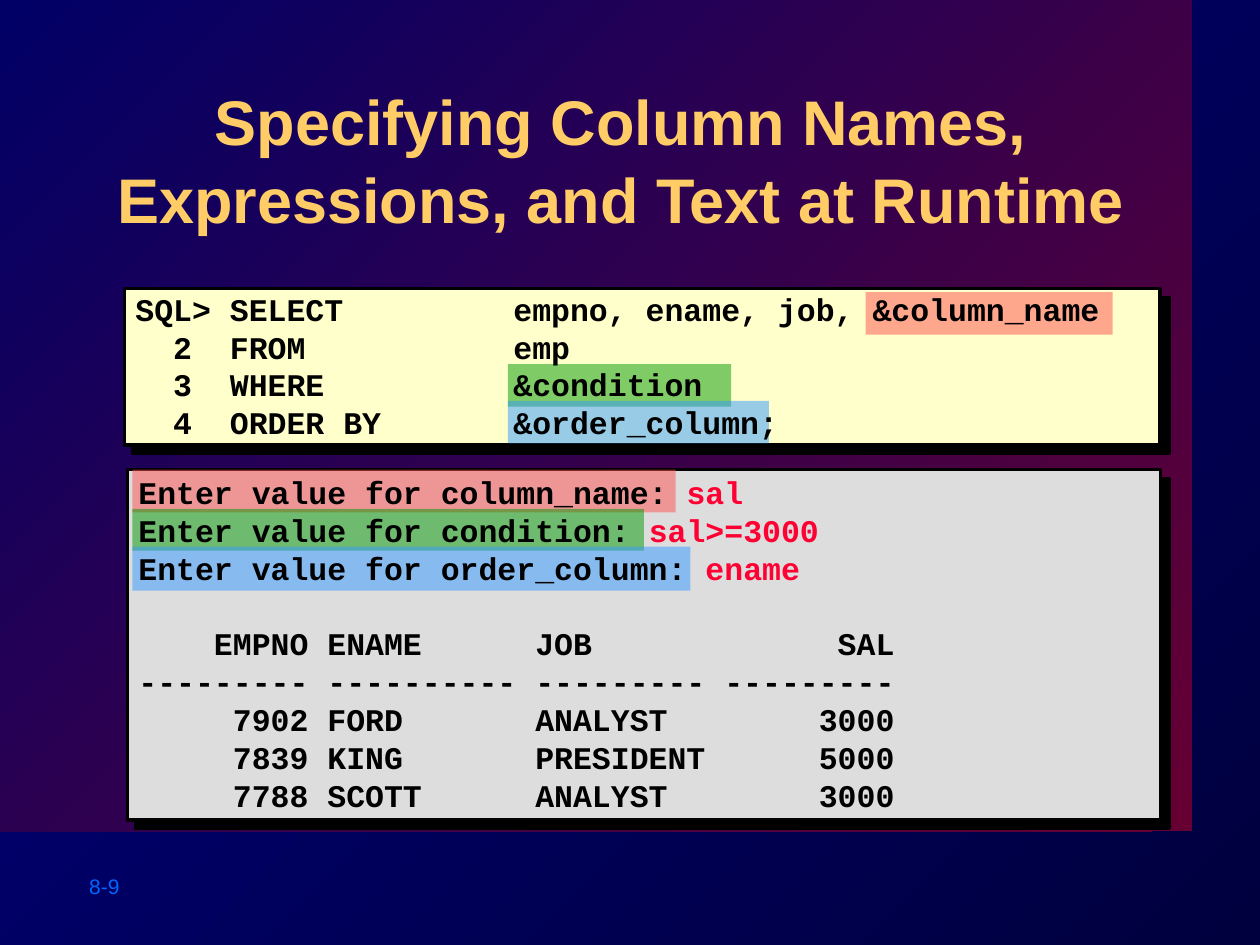
from lxml import etree
from pptx import Presentation
from pptx.dml.color import RGBColor
from pptx.enum.shapes import MSO_SHAPE
from pptx.enum.text import MSO_ANCHOR, MSO_AUTO_SIZE, PP_ALIGN
from pptx.oxml.ns import qn
from pptx.util import Cm, Pt

RECTANGLE = MSO_SHAPE.RECTANGLE
TOP, MIDDLE = MSO_ANCHOR.TOP, MSO_ANCHOR.MIDDLE
NO_AUTOFIT = MSO_AUTO_SIZE.NONE
CENTER = PP_ALIGN.CENTER

BLACK, ANSWER_RED = "000000", "FF0033"
COLUMN_RED, CONDITION_GREEN, ORDER_BLUE = "FF5050", "009900", "3399FF"
TAB_STOPS = (3.33, 5.08, 7.62)

QUERY = [
    ("SQL> SELECT\t\tempno, ename, job, &column_name",),
    ("  2  FROM\t\temp",),
    ("  3  WHERE\t\t&condition",),
    ("  4  ORDER BY\t\t&order_column;",),
]
QUERY_MARKS = [
    (14.94, 0.07, 4.98, 0.86, COLUMN_RED),
    (7.73, 1.52, 4.5, 0.86, CONDITION_GREEN),
    (7.73, 2.26, 5.26, 0.86, ORDER_BLUE),
]
OUTPUT = [
    ("Enter value for column_name: ", "sal"),
    ("Enter value for condition: ", "sal>=3000"),
    ("Enter value for order_column: ", "ename"),
    (),
    ("    EMPNO ENAME      JOB             SAL",),
    ("--------- ---------- --------- ---------",),
    ("     7902 FORD       ANALYST        3000",),
    ("     7839 KING       PRESIDENT      5000",),
    ("     7788 SCOTT      ANALYST        3000",),
]
OUTPUT_MARKS = [
    (0.1, 0, 10.95, 0.86, COLUMN_RED),
    (0.1, 0.79, 10.31, 0.84, CONDITION_GREEN),
    (0.1, 1.55, 11.25, 0.89, ORDER_BLUE),
]


def color(value):
    """Return the colour for a hex string."""
    return RGBColor.from_string(value)


def set_font(font, name, size, value, bold=False):
    """Set the face, size, colour and weight of a font."""
    font.name, font.size, font.bold = name, Pt(size), bold
    font.color.rgb = color(value)


def set_gradient(fill, start, end):
    """Fill with a gradient from the bottom right to the top left."""
    fill.gradient()
    fill.gradient_angle = 135
    for stop, value in zip(fill.gradient_stops, (start, end)):
        stop.color.rgb = color(value)


def add_shadow(properties, distance):
    """Put a solid black shadow below and right of a shape or run."""
    effects = etree.SubElement(properties, qn("a:effectLst"))
    shadow = etree.SubElement(effects, qn("a:outerShdw"), dist=str(Pt(distance)),
                              dir="2700000", algn="ctr", rotWithShape="0")
    etree.SubElement(shadow, qn("a:srgbClr"), val=BLACK)


def add_rectangle(slide, left, top, width, height, value=None):
    """Add a rectangle without line or shadow, filled if a colour is given."""
    shape = slide.shapes.add_shape(RECTANGLE, Cm(left), Cm(top), Cm(width), Cm(height))
    shape.shadow.inherit = False
    shape.line.fill.background()
    if value:
        shape.fill.solid()
        shape.fill.fore_color.rgb = color(value)
    return shape


def add_backdrop(slide, left, top, width, height):
    """Set the blue background and lay the red gradient field over it."""
    set_gradient(slide.background.fill, "00003F", "000080")
    field = add_rectangle(slide, left, top, width, height)
    set_gradient(field.fill, "660033", "000066")


def place_title(slide, text, left, top, width, height):
    """Move the title placeholder into its box, above the backdrop."""
    title = slide.shapes.title
    slide.shapes._spTree.append(title._element)
    title.left, title.top, title.width, title.height = map(Cm, (left, top, width, height))
    frame = title.text_frame
    frame.text = text
    frame.word_wrap, frame.auto_size, frame.vertical_anchor = True, NO_AUTOFIT, TOP
    paragraph = frame.paragraphs[0]
    paragraph.alignment = CENTER
    paragraph.line_spacing = 1.04
    set_font(paragraph.font, "Arial", 36, "FFCC66", True)
    add_shadow(paragraph.runs[0]._r.get_or_add_rPr(), 4)


def add_page_number(slide, text, left, top, width, height):
    """Add the page number."""
    box = slide.shapes.add_textbox(Cm(left), Cm(top), Cm(width), Cm(height))
    box.text_frame.word_wrap = True
    box.text_frame.text = text
    set_font(box.text_frame.paragraphs[0].font, "Arial", 12, "0066FF")


def add_code_line(paragraph, texts):
    """Write a code line, with any typed answer in red."""
    tabs = etree.SubElement(paragraph._p.get_or_add_pPr(), qn("a:tabLst"))
    for stop in TAB_STOPS:
        etree.SubElement(tabs, qn("a:tab"), pos=str(Cm(stop)), algn="l")
    set_font(paragraph.font, "Courier New", 18, BLACK, True)
    for text in texts:
        paragraph.add_run().text = text
    for answer in paragraph.runs[1:]:
        answer.font.color.rgb = color(ANSWER_RED)


def add_code_panel(slide, lines, marks, fill, left, top, width, height):
    """Add a shadowed panel with translucent marks behind its code."""
    panel = add_rectangle(slide, left, top, width, height, fill)
    panel.line.color.rgb = color(BLACK)
    panel.line.width = Pt(2)
    properties = panel._element.spPr
    properties.remove(properties.find(qn("a:effectLst")))
    add_shadow(properties, 7.1)
    for mark_left, mark_top, mark_width, mark_height, value in marks:
        mark = add_rectangle(slide, left + mark_left, top + mark_top,
                             mark_width, mark_height, value)
        hue = mark._element.spPr.find(qn("a:solidFill"))[0]
        etree.SubElement(hue, qn("a:alpha"), val="50000")
    box = slide.shapes.add_textbox(Cm(left - 0.03), Cm(top - 0.03),
                                   Cm(width - 0.06), Cm(height))
    frame = box.text_frame
    frame.word_wrap, frame.vertical_anchor = True, MIDDLE
    for index, texts in enumerate(lines):
        paragraph = frame.add_paragraph() if index else frame.paragraphs[0]
        add_code_line(paragraph, texts)


def main():
    """Build and save the slide."""
    presentation = Presentation()
    presentation.slide_width, presentation.slide_height = Cm(25.4), Cm(19.05)
    slide = presentation.slides.add_slide(presentation.slide_layouts[5])
    add_backdrop(slide, 0, 0, 24.03, 16.76)
    add_page_number(slide, "8-9", 1.55, 17.48, 2.82, 0.76)
    place_title(slide, "Specifying Column Names, Expressions, and Text at Runtime",
                1.98, 1.47, 21.08, 2.44)
    add_code_panel(slide, QUERY, QUERY_MARKS, "FFFFCC", 2.51, 5.82, 20.88, 3.15)
    add_code_panel(slide, OUTPUT, OUTPUT_MARKS, "DDDDDD", 2.57, 9.47, 20.83, 7.06)
    presentation.save("out.pptx")


if __name__ == "__main__":
    main()
